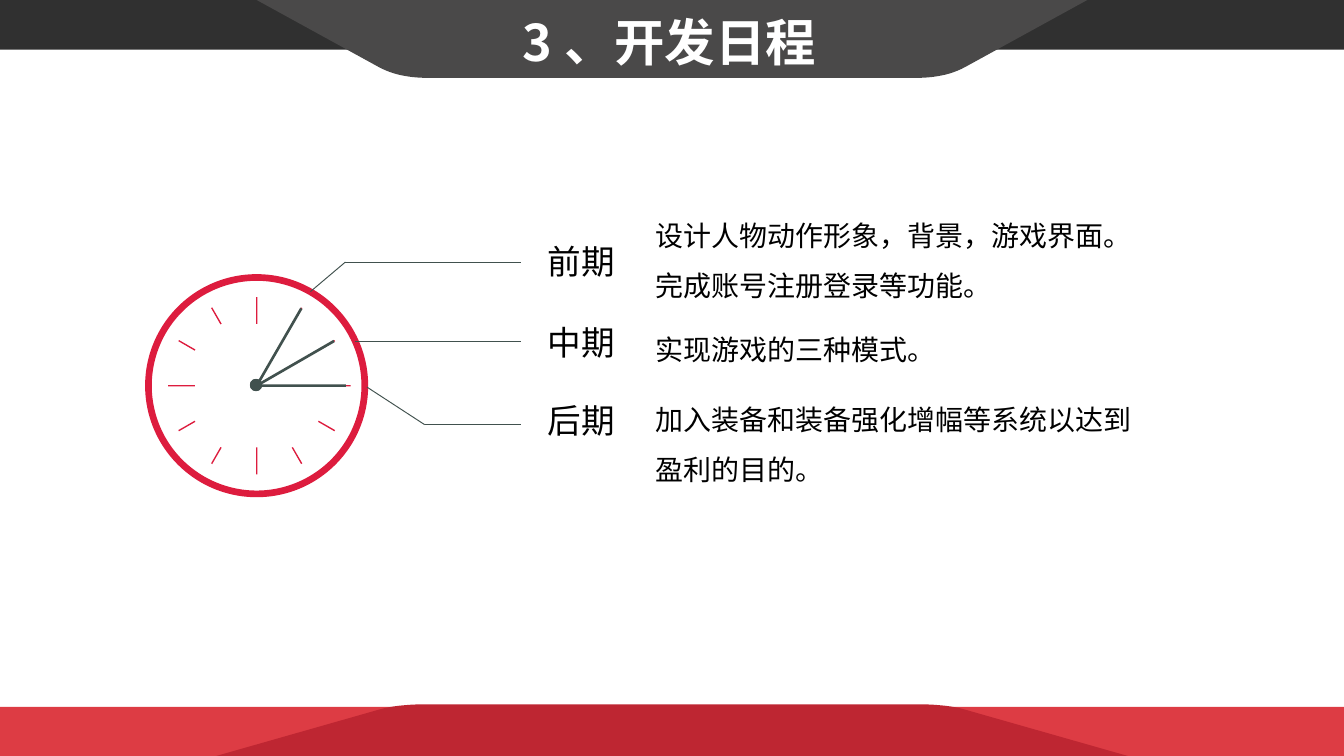
from math import cos, radians, sin

from lxml.etree import SubElement as Sub
from pptx import Presentation
from pptx.dml.color import RGBColor as RGB
from pptx.enum.shapes import MSO_CONNECTOR as Link, MSO_SHAPE as Kind
from pptx.enum.text import MSO_ANCHOR as Anchor, MSO_AUTO_SIZE as Auto, PP_ALIGN as Align
from pptx.oxml.ns import qn
from pptx.util import Inches, Pt

FONT = "Noto Sans CJK SC"
WHITE = RGB(0xFF, 0xFF, 0xFF)
BLACK = RGB(0, 0, 0)
DARK = RGB(0x30, 0x30, 0x30)
GREY = RGB(0x4A, 0x49, 0x49)
RED = RGB(0xDD, 0x3C, 0x44)
WINE = RGB(0xBE, 0x26, 0x32)
ROSE = RGB(0xDD, 0x1C, 0x3E)
SLATE = RGB(0x41, 0x51, 0x4E)

MID = 5  # horizontal middle of the slide
HUB = (1.91, 2.87)  # where the clock hands meet

# label, label top, note, note top, note width, note height
STAGES = [
    ("前期", 1.74, "设计人物动作形象，背景，游戏界面。完成账号注册登录等功能。", 1.45, 3.81, 0.86),
    ("中期", 2.35, "实现游戏的三种模式。", 2.3, 3.31, 0.48),
    ("后期", 2.93, "加入装备和装备强化增幅等系统以达到盈利的目的。", 2.82, 3.81, 0.86),
]
LEADS = [
    [(2.31, 2.17), (2.57, 1.95), (3.88, 1.95)],
    [(2.64, 2.54), (3.88, 2.54)],
    [(2.73, 2.88), (3.16, 3.16), (3.88, 3.16)],
]


def paint(shape, color):
    shape.shadow.inherit = False
    shape.fill.solid()
    shape.fill.fore_color.rgb = color
    shape.line.fill.background()
    return shape


def block(slide, kind, box, color, turn=0):
    shape = slide.shapes.add_shape(kind, *map(Inches, box))
    shape.rotation = turn
    return paint(shape, color)


def outline(slide, points, color):
    spots = [(Inches(x), Inches(y)) for x, y in points]
    pen = slide.shapes.build_freeform(*spots[0])
    pen.add_line_segments(spots[1:], close=True)
    return paint(pen.convert_to_shape(), color)


def write(shape, text, size, color=BLACK, bold=False, align=Align.LEFT,
          space=None, wrap=True):
    frame = shape.text_frame
    frame.word_wrap = wrap
    frame.auto_size = Auto.SHAPE_TO_FIT_TEXT
    frame.vertical_anchor = Anchor.TOP
    para = frame.paragraphs[0]
    para.alignment = align
    if space:
        para.line_spacing = space
    run = para.add_run()
    run.text = text
    font = run.font
    font.name, font.size, font.bold = FONT, Pt(size), bold
    font.color.rgb = color
    Sub(run._r.get_or_add_rPr(), qn("a:ea"), typeface=FONT)


def line(slide, start, end):
    link = slide.shapes.add_connector(Link.STRAIGHT, *map(Inches, start + end))
    link.line.color.rgb = SLATE
    link.line.width = Pt(0.5)
    Sub(link._element.spPr, qn("a:effectLst"))


def bend(knots, steps=12):
    """Points along a cubic curve."""
    for i in range(steps + 1):
        t = i / steps
        parts = ((1 - t) ** 3, 3 * t * (1 - t) ** 2, 3 * t * t * (1 - t), t ** 3)
        yield tuple(sum(w * k[n] for w, k in zip(parts, knots)) for n in (0, 1))


def banner(slide, base, knots, color):
    """Symmetric tab; base and knots give (half width, y)."""
    half = [base, *bend(knots)]
    left = [(MID - x, y) for x, y in half]
    right = [(MID + x, y) for x, y in reversed(half)]
    outline(slide, left + right, color)


def polar(angle, reach):
    """Point at a clockwise angle from three o'clock."""
    turn = radians(angle)
    return HUB[0] + reach * cos(turn), HUB[1] + reach * sin(turn)


def bar(slide, angle, reach, length, thick, color):
    """Radial bar centred at the given reach from the hub."""
    x, y = polar(angle, reach)
    box = (x - length / 2, y - thick / 2, length, thick)
    block(slide, Kind.RECTANGLE, box, color, angle % 360)


def tick(slide, angle):
    """Slanted hour mark."""
    turn = radians(angle)
    dx, dy = -0.005 * sin(turn), 0.005 * cos(turn)
    (ax, ay), (bx, by) = polar(angle, 0.53), polar(angle, 0.67)
    outline(slide, [(ax - dx, ay - dy), (bx - dx, by - dy),
                    (bx + dx, by + dy), (ax + dx, ay + dy)], ROSE)


def clock(slide):
    ring = block(slide, Kind.DONUT, (1.08, 2.04, 1.66, 1.66), ROSE)
    ring.adjustments[0] = 0.03
    for angle in range(0, 360, 30):
        if angle % 90:
            tick(slide, angle)
    # Quarter marks
    for angle, reach in ((270, 0.56), (90, 0.56), (180, 0.56), (0, 0.6)):
        bar(slide, angle, reach, 0.2, 0.01, ROSE)
    # Hands, each with a thin tip and a hub dot
    for angle in (0, -60, -30):
        bar(slide, angle, 0.56, 0.2, 0.01, SLATE)
        bar(slide, angle, 0.33, 0.67, 0.02, SLATE)
        dot = (HUB[0] - 0.05, HUB[1] - 0.05, 0.09, 0.09)
        block(slide, Kind.OVAL, dot, SLATE, angle % 360)


def heading(slide, text):
    title = slide.shapes.title
    title.left, title.top = Inches(3.79), Inches(0.03)
    title.width, title.height = Inches(2.71), Inches(0.56)
    write(title, text, 27, color=WHITE, bold=True, wrap=False)
    slide.shapes._spTree.append(title._element)  # in front of the banner


def stage(slide, label, top, note, high, width, height):
    boxes = slide.shapes
    body = boxes.add_textbox(*map(Inches, (4.78, high, width, height)))
    write(body, note, 15, space=1.5)
    tag = boxes.add_textbox(*map(Inches, (3.97, top, 0.71, 0.4)))
    write(tag, label, 18, align=Align.CENTER, wrap=False)


def main():
    deck = Presentation()
    deck.slide_width = Inches(10)
    deck.slide_height = Inches(10) * 9 // 16
    slide = deck.slides.add_slide(deck.slide_layouts[5])

    # Footer and header bands
    block(slide, Kind.RECTANGLE, (0, 5.26, 10, 0.37), RED)
    banner(slide, (3.41, 5.63),
           [(2.18, 5.28), (2.08, 5.25), (1.94, 5.24), (1.82, 5.24)], WINE)
    block(slide, Kind.RECTANGLE, (0, 0, 10, 0.37), DARK)
    banner(slide, (3.09, 0),
           [(2.18, 0.5), (2.07, 0.56), (1.94, 0.58), (1.81, 0.58)], GREY)
    heading(slide, "3 、开发日程")

    # Clock with its leader lines and stages
    clock(slide)
    for lead in LEADS:
        for start, end in zip(lead, lead[1:]):
            line(slide, start, end)
    for row in STAGES:
        stage(slide, *row)

    deck.save("out.pptx")


if __name__ == "__main__":
    main()
